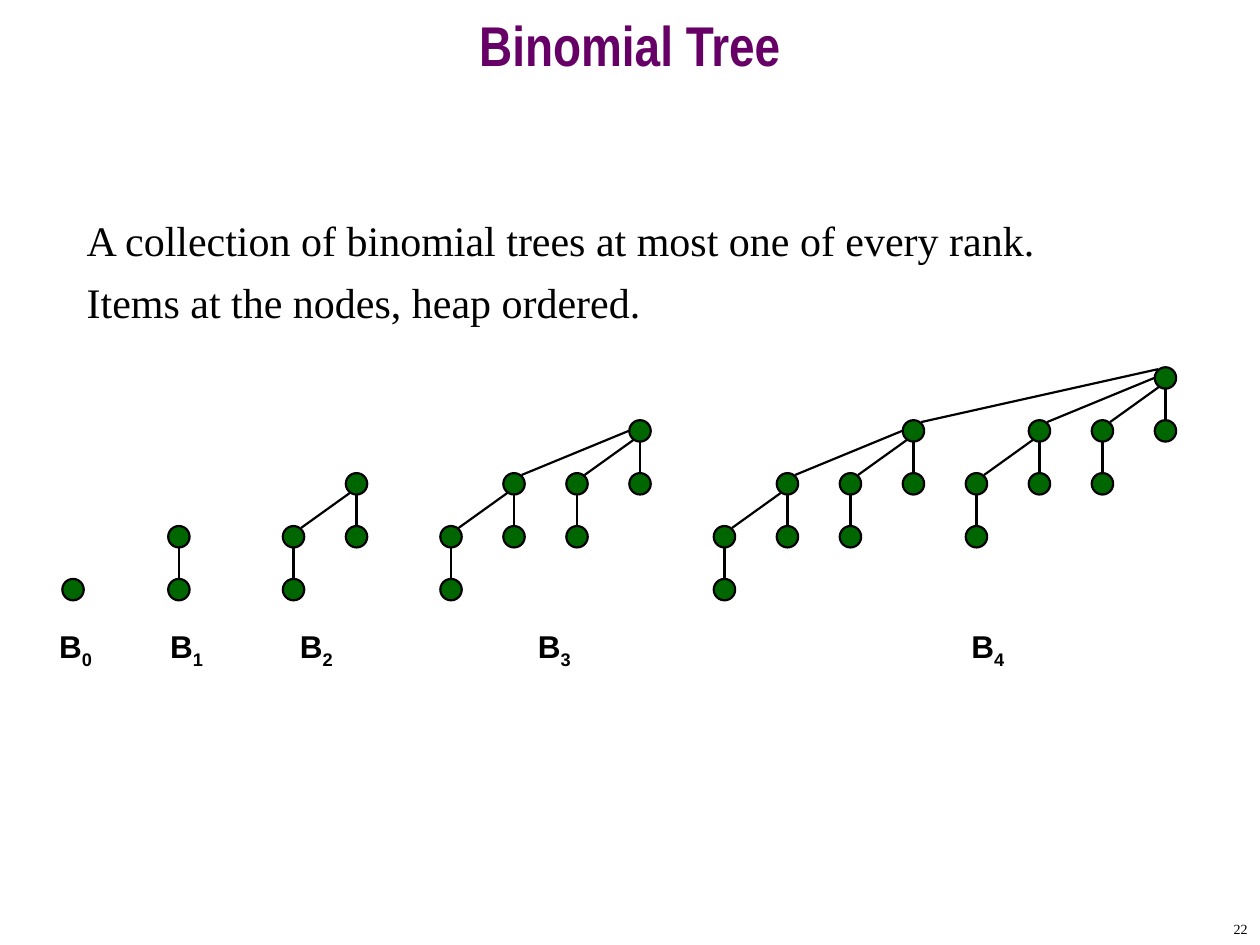
from dataclasses import dataclass

from lxml import etree
from pptx import Presentation
from pptx import util as u
from pptx.dml.color import RGBColor
from pptx.enum import shapes, text
from pptx.oxml.ns import qn

WIDTH, HEIGHT = 10, 7.5
COLUMN, ROW = WIDTH / 20, 0.42      # tree grid, inches
NODE = 0.17                         # node diameter
BASELINE = 4.68                     # centre of the lowest nodes
LABEL_WIDTH = 0.69
BLACK, GREEN, PURPLE = "000000", "006600", "660066"

# Where an edge meets its child and parent, relative to their centres,
# by the rank of the two trees that it joins
EDGE_ENDS = [
    ((0, -0.09), (0, 0.09)),
    ((0.06, -0.07), (-0.05, 0.07)),
    ((0.06, -0.07), (-0.09, 0)),
    ((0.06, -0.07), (-0.06, -0.07)),
]


@dataclass
class Tree:
    rank: int
    left: float          # centre of the leftmost node
    label_centre: float


TREES = [
    Tree(0, 0.58, 0.6),
    Tree(1, 1.42, 1.48),
    Tree(2, 2.33, 2.51),
    Tree(3, 3.58, 4.4),
    Tree(4, 5.75, 7.84),
]


def colour(value: str) -> RGBColor:
    return RGBColor.from_string(value)


def style(para, font: str, size: float, value: str = BLACK, bold: bool = False) -> None:
    para.font.name = font
    para.font.size = u.Pt(size)
    para.font.bold = bold
    para.font.color.rgb = colour(value)


def add_box(page, left: float, top: float, width: float, height: float):
    box = page.shapes.add_textbox(*map(u.Inches, (left, top, width, height)))
    box.text_frame.word_wrap = True
    return box


def draw_node(page, x: float, y: float) -> None:
    corner = (x - NODE / 2, y - NODE / 2)
    node = page.shapes.add_shape(shapes.MSO_SHAPE.OVAL,
                                 *map(u.Inches, (*corner, NODE, NODE)))
    node.shadow.inherit = False
    node.fill.solid()
    node.fill.fore_color.rgb = colour(GREEN)
    node.line.color.rgb = colour(BLACK)
    node.line.width = u.Pt(1.25)


def draw_edge(page, child: tuple, parent: tuple, rank: int) -> None:
    from_child, to_parent = EDGE_ENDS[rank]
    ends = (child[0] + from_child[0], child[1] + from_child[1],
            parent[0] + to_parent[0], parent[1] + to_parent[1])
    edge = page.shapes.add_connector(shapes.MSO_CONNECTOR.STRAIGHT,
                                     *map(u.Inches, ends))
    edge.line.color.rgb = colour(BLACK)
    edge.line.width = u.Pt(1.25)
    etree.SubElement(edge._element.spPr, qn("a:effectLst"))


def draw_tree(page, rank: int, left: float, base: float) -> tuple:
    """Link two trees of the next lower rank and return the root's centre."""
    if rank == 0:
        draw_node(page, left, base)
        return left, base
    shift = 2 ** (rank - 2) * COLUMN if rank > 1 else 0
    child = draw_tree(page, rank - 1, left, base)
    root = draw_tree(page, rank - 1, left + shift, base - ROW)
    draw_edge(page, child, root, rank - 1)
    return root


def draw_label(page, tree: Tree) -> None:
    box = add_box(page, tree.label_centre - LABEL_WIDTH / 2, 4.93, LABEL_WIDTH, 0.44)
    para = box.text_frame.paragraphs[0]
    para.alignment = text.PP_ALIGN.CENTER
    style(para, "Arial", 18, bold=True)
    para.add_run().text = "B"
    subscript = para.add_run()
    subscript.text = str(tree.rank)
    subscript.font._element.set("baseline", "-25000")


def main() -> None:
    deck = Presentation()
    deck.slide_width, deck.slide_height = u.Inches(WIDTH), u.Inches(HEIGHT)
    page = deck.slides.add_slide(deck.slide_layouts[5])

    # Title
    title = page.shapes.title
    title.left, title.top = 0, 0
    title.width, title.height = deck.slide_width, u.Inches(0.83)
    title.text_frame.text = "Binomial Tree"
    title.text_frame.auto_size = text.MSO_AUTO_SIZE.NONE
    title.text_frame.vertical_anchor = text.MSO_ANCHOR.MIDDLE
    heading = title.text_frame.paragraphs[0]
    heading.alignment = text.PP_ALIGN.CENTER
    heading.line_spacing = 0.7
    style(heading, "Arial Narrow", 32, PURPLE, bold=True)

    # Trees and their labels
    for tree in TREES:
        draw_tree(page, tree.rank, tree.left, BASELINE)
        draw_label(page, tree)

    # Description
    description = add_box(page, 0.59, 1.65, 9.17, 0.97).text_frame
    description.text = ("A collection of binomial trees at most one of every rank.\n"
                        "Items at the nodes, heap ordered.")
    for para in description.paragraphs:
        style(para, "Times New Roman", 24)
    description.paragraphs[1].space_before = u.Pt(7)

    # Page number
    number = add_box(page, 7.92, 7.25, 2.08, 0.25).text_frame
    number.text = "22"
    number.vertical_anchor = text.MSO_ANCHOR.MIDDLE
    number.paragraphs[0].alignment = text.PP_ALIGN.RIGHT
    style(number.paragraphs[0], "Times New Roman", 8)

    deck.save("out.pptx")


if __name__ == "__main__":
    main()
